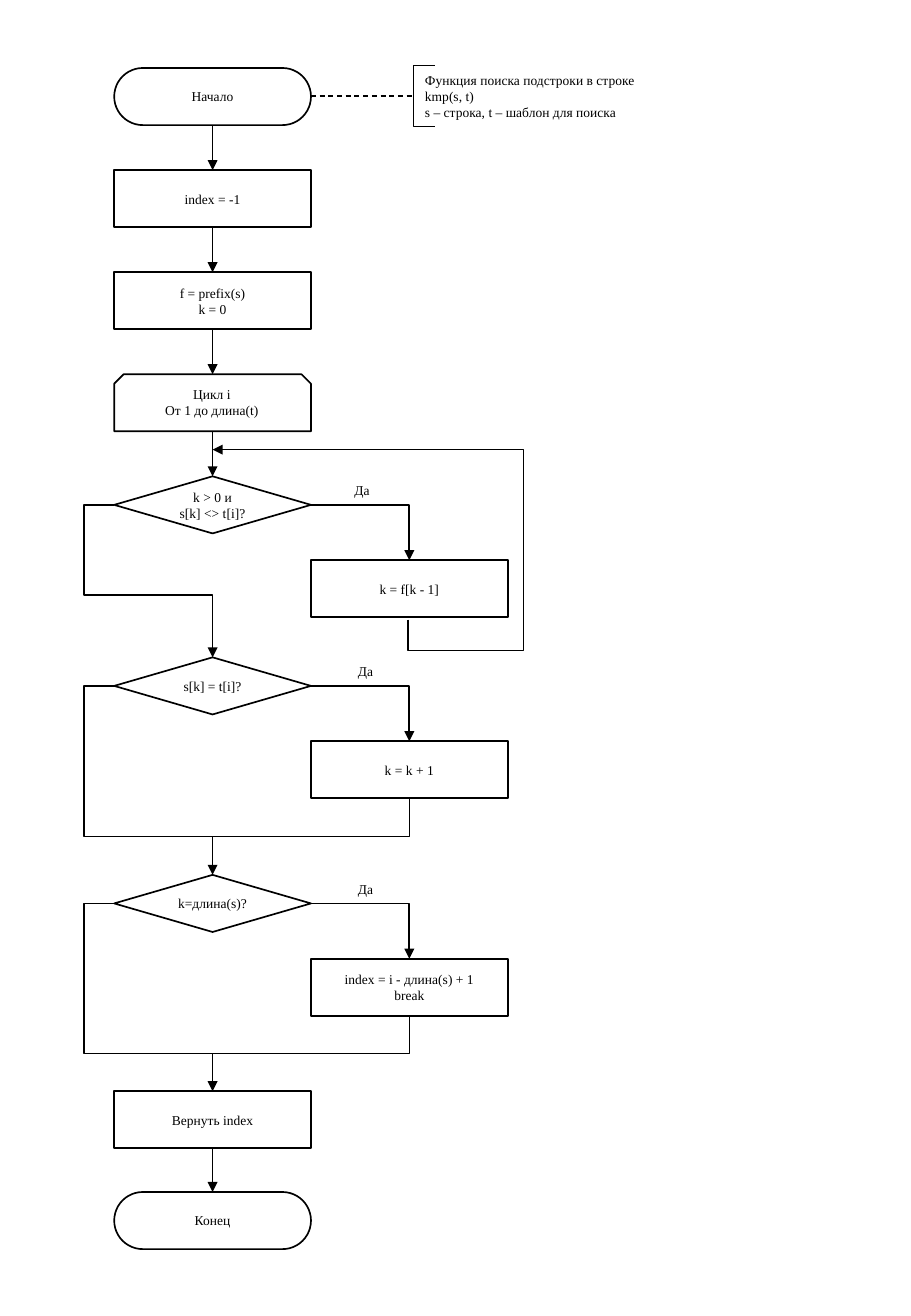
from lxml.etree import SubElement
from pptx import Presentation
from pptx.dml.color import RGBColor
from pptx.enum.dml import MSO_LINE
from pptx.enum.shapes import MSO_CONNECTOR as Wire, MSO_SHAPE as Form
from pptx.enum.text import MSO_ANCHOR, MSO_AUTO_SIZE, PP_ALIGN as Align
from pptx.oxml.ns import qn
from pptx.util import Inches, Pt

BLACK = RGBColor(0, 0, 0)
WHITE = RGBColor(255, 255, 255)

# Grid: the main column, the "yes" branch column and the bypass lane
BOX_W, BOX_H = 1.62, 0.47
MAIN_X = 0.94
BRANCH_X = MAIN_X + BOX_W
MAIN_MID, BRANCH_MID = MAIN_X + BOX_W / 2, BRANCH_X + BOX_W / 2
TOP, STEP = 0.56, 0.84
BRANCH_DROP = 0.69
BYPASS = -0.31  # share of the half box width
LOOP_DECISION, MATCH_DECISION, FOUND_DECISION = TOP + 4 * STEP, 5.41, 7.2
RETURN_TOP, END_TOP = 8.98, 9.81


def write(frame, lines, align=Align.CENTER):
    frame.text = "\n".join(lines)
    for paragraph in frame.paragraphs:
        paragraph.alignment = align
        paragraph.font.name = "Times New Roman"
        paragraph.font.size = Pt(8)
        paragraph.font.color.rgb = BLACK


def block(slide, form, x, y, *lines):
    box = slide.shapes.add_shape(form, *map(Inches, (x, y, BOX_W, BOX_H)))
    box.shadow.inherit = False
    box.fill.solid()
    box.fill.fore_color.rgb = WHITE
    box.line.color.rgb = BLACK
    box.line.width = Pt(1)
    if form == Form.ROUNDED_RECTANGLE:
        box.adjustments[0] = 0.5
    if lines:
        box.text_frame.vertical_anchor = MSO_ANCHOR.MIDDLE
        write(box.text_frame, lines)


def caption(slide, x, y, width, height, *lines, align=Align.CENTER, wrap=True):
    label = slide.shapes.add_textbox(*map(Inches, (x, y, width, height)))
    label.text_frame.word_wrap = wrap
    label.text_frame.auto_size = MSO_AUTO_SIZE.SHAPE_TO_FIT_TEXT
    write(label.text_frame, lines, align)


def style_wire(wire, arrow=True, weight=1, dash=None):
    wire.line.color.rgb = BLACK
    wire.line.width = Pt(weight)
    if dash:
        wire.line.dash_style = dash
    properties = wire.element.spPr
    if arrow:
        SubElement(properties.find(qn("a:ln")), qn("a:tailEnd"), type="triangle")
    SubElement(properties, qn("a:effectLst"))


def straight(slide, start, end, **style):
    wire = slide.shapes.add_connector(Wire.STRAIGHT, *map(Inches, start + end))
    style_wire(wire, **style)


def elbow(slide, start, end, bends, turned=False, flipped=False, arrow=True):
    """Bent connector; bends are shares of its box, turned rotates it by 90 degrees."""
    (x1, y1), (x2, y2) = start, end
    width, height = abs(x2 - x1), abs(y2 - y1)
    if turned:
        width, height = height, width
    left, top = (x1 + x2 - width) / 2, (y1 + y2 - height) / 2
    wire = slide.shapes.add_connector(
        Wire.ELBOW, *map(Inches, (left, top, left + width, top + height)))
    properties = wire.element.spPr
    frame = properties.find(qn("a:xfrm"))
    if turned:
        frame.set("rot", str(90 * 60000))
    if flipped:
        frame.set("flipH", "1")
    geometry = properties.find(qn("a:prstGeom"))
    geometry.set("prst", f"bentConnector{len(bends) + 2}")
    for number, share in enumerate(bends, 1):
        SubElement(geometry.find(qn("a:avLst")), qn("a:gd"),
                   name=f"adj{number}", fmla=f"val {round(share * 100000)}")
    style_wire(wire, arrow)


def decision(slide, y, question, action, yes_x):
    """Diamond with its "yes" branch to the right."""
    block(slide, Form.DIAMOND, MAIN_X, y, *question)
    block(slide, Form.RECTANGLE, BRANCH_X, y + BRANCH_DROP, *action)
    elbow(slide, (BRANCH_X, y + BOX_H / 2), (BRANCH_MID, y + BRANCH_DROP), [])
    caption(slide, yes_x, y, 0.78, 0.24, "Да")


def merge(slide, y, next_y):
    """Both branches of the decision at y meet above the block at next_y."""
    branch_end = y + BRANCH_DROP + BOX_H
    elbow(slide, (BRANCH_MID, branch_end), (MAIN_MID, next_y), [0.5], turned=True)
    elbow(slide, (MAIN_X, y + BOX_H / 2), (MAIN_MID, (branch_end + next_y) / 2),
          [BYPASS, 1], arrow=False)


def main():
    deck = Presentation()
    deck.slide_width, deck.slide_height = Inches(7.5), Inches(10.83)
    slide = deck.slides.add_slide(deck.slide_layouts[6])

    # Opening sequence
    opening = [
        (Form.ROUNDED_RECTANGLE, ["Начало"]),
        (Form.RECTANGLE, ["index = -1"]),
        (Form.RECTANGLE, ["f = prefix(s)", "k = 0"]),
        (Form.SNIP_2_SAME_RECTANGLE, []),
    ]
    for row, (form, lines) in enumerate(opening):
        y = TOP + row * STEP
        block(slide, form, MAIN_X, y, *lines)
        straight(slide, (MAIN_MID, y + BOX_H), (MAIN_MID, y + STEP))
    caption(slide, 1.26, 3.13, 0.97, 0.37, "Цикл i", "От 1 до длина(t)", wrap=False)

    # Annotation of the function
    straight(slide, (BRANCH_X, 0.79), (3.4, 0.79),
             arrow=False, weight=0.75, dash=MSO_LINE.DASH)
    bracket = slide.shapes.add_shape(
        Form.LEFT_BRACKET, *map(Inches, (3.4, 0.54, 0.18, 0.5)))
    bracket.shadow.inherit = False
    bracket.adjustments[0] = 0
    bracket.fill.background()
    bracket.line.color.rgb = BLACK
    bracket.line.width = Pt(0.5)
    caption(slide, 3.4, 0.54, 2.09, 0.5, "Функция поиска подстроки в строке",
            "kmp(s, t)", "s – строка, t – шаблон для поиска", align=Align.LEFT)

    # Inner loop with its way back and its exit
    decision(slide, LOOP_DECISION, ["k > 0 и", "s[k] <> t[i]?"], ["k = f[k - 1]"], 2.59)
    elbow(slide, (3.36, 5.1), (MAIN_MID, 3.7), [-0.18, -0.59], turned=True, flipped=True)
    elbow(slide, (MAIN_X, LOOP_DECISION + BOX_H / 2), (MAIN_MID, MATCH_DECISION),
          [BYPASS, 0.59])

    # Match and end-of-pattern checks
    decision(slide, MATCH_DECISION, ["s[k] = t[i]?"], ["k = k + 1"], 2.62)
    merge(slide, MATCH_DECISION, FOUND_DECISION)
    decision(slide, FOUND_DECISION, ["k=длина(s)?"],
             ["index = i - длина(s) + 1", "break"], 2.62)
    merge(slide, FOUND_DECISION, RETURN_TOP)

    # Result
    block(slide, Form.RECTANGLE, MAIN_X, RETURN_TOP, "Вернуть index")
    straight(slide, (MAIN_MID, RETURN_TOP + BOX_H), (MAIN_MID, END_TOP))
    block(slide, Form.ROUNDED_RECTANGLE, MAIN_X, END_TOP, "Конец")

    deck.save("out.pptx")


main()
